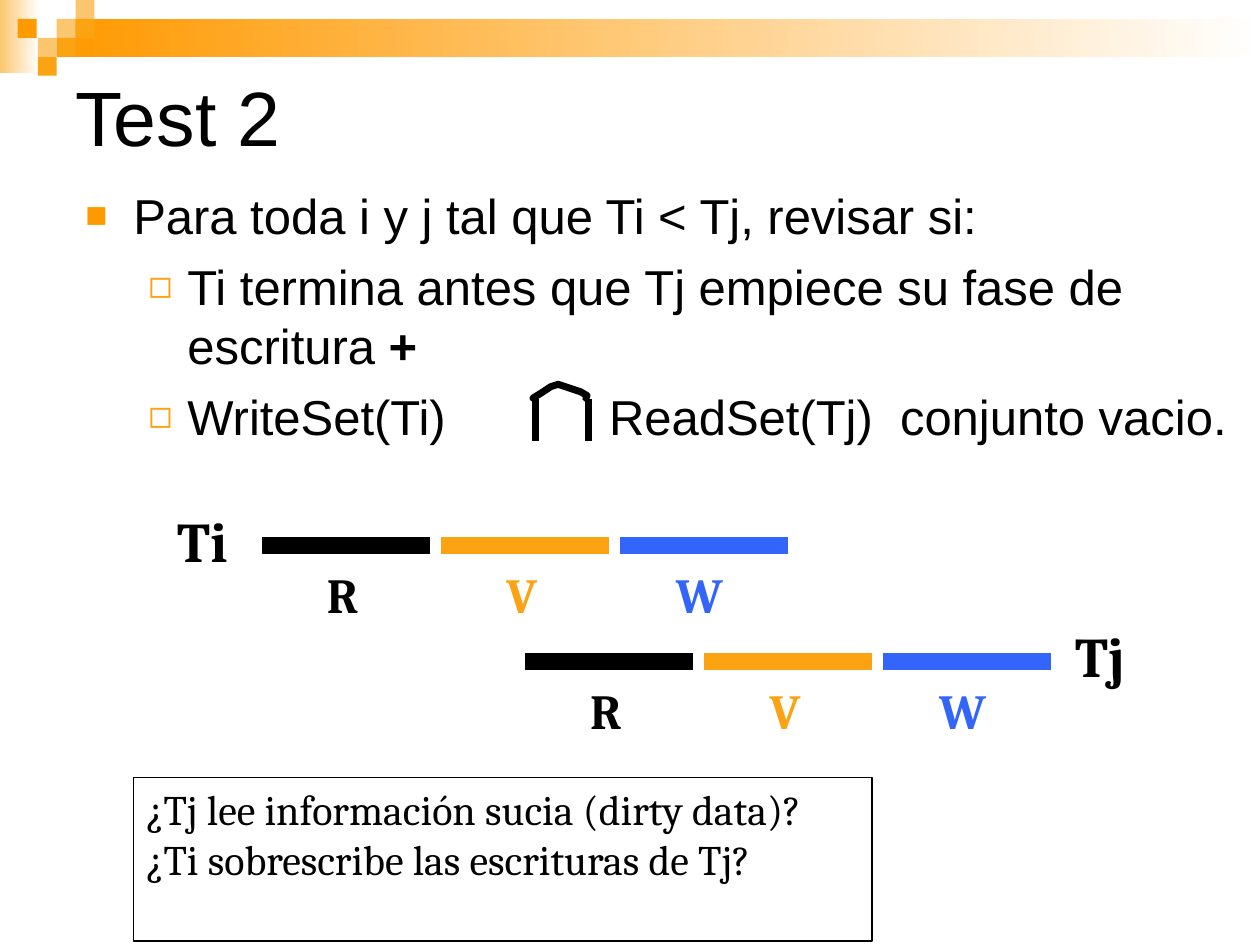
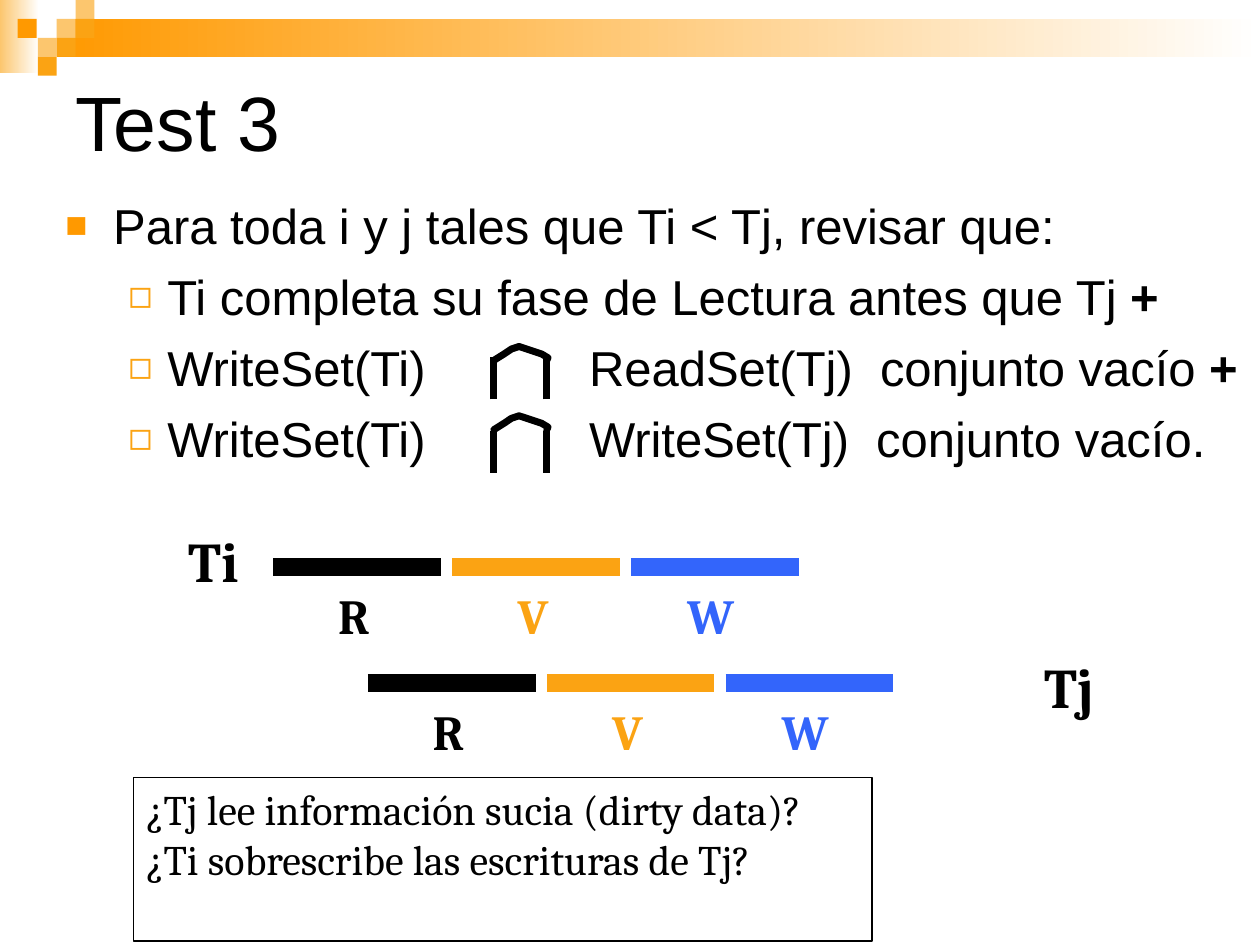
from lxml import etree
from pptx import Presentation
from pptx.dml.color import RGBColor
from pptx.enum.shapes import MSO_CONNECTOR, MSO_SHAPE
from pptx.enum.text import MSO_ANCHOR
from pptx.oxml.ns import qn
from pptx.util import Inches, Pt

STRAIGHT = MSO_CONNECTOR.STRAIGHT
RECTANGLE = MSO_SHAPE.RECTANGLE
MIDDLE, TOP = MSO_ANCHOR.MIDDLE, MSO_ANCHOR.TOP

COLORS = {"black": "000000", "white": "FFFFFF", "orange": "FF9900",
          "amber": "FBA313", "peach": "FCC66E", "blue": "3365FB"}
RGB = {name: RGBColor.from_string(value) for name, value in COLORS.items()}

# Corner decoration: left, top, width, height, colour
BANDS = [(0, 0, 0.31, 0.58, "peach"), (0.45, 0.15, 9.55, 0.3, "orange")]
TILE = 0.15
TILES = [(0.45, 0.15, "peach"), (0.6, 0, "peach"), (0.6, 0.15, "amber"),
         (0.3, 0.3, "peach"), (0.14, 0.15, "orange"), (0.45, 0.3, "amber"),
         (0.3, 0.45, "amber")]
DECORATION = BANDS + [(x, y, TILE, TILE, color) for x, y, color in TILES]

# Bullets by level: margin, hanging indent, character, colour, size in percent
BULLETS = [(0.38, -0.38, "■", "orange", 75), (0.81, -0.31, "◻", "amber", 80)]
GAP = " "  # one widely spaced blank that leaves room for the intersection sign
GAP_SPACING = "8560"

# Transaction phases: letter, label width, colour
PHASES = [("R", 0.48, "black"), ("V", 0.47, "amber"), ("W", 0.62, "blue")]
PHASE_LENGTH, PHASE_STEP = 1.33, 1.42

# Intersection sign
SIGN_WIDTH = 0.42
ROOF = [(0, 0.11), (0.08, 0.06), (0.14, 0.02), (0.2, 0), (0.26, 0.02),
        (0.32, 0.04), (0.38, 0.06), (0.43, 0.09), (0.42, 0.11)]

QUESTIONS = ["¿Tj lee información sucia (dirty data)?",
             "¿Ti sobrescribe las escrituras de Tj?"]

PAGES = [
    {"title": "Test 2", "title_height": 0.83,
     "body_at": (0.58, 1.42, 9.33, 2.42),
     "body": [["Para toda i y j tal que Ti < Tj, revisar si:"],
              ["Ti termina antes que Tj empiece su fase de escritura ", "+"],
              ["WriteSet(Ti)", GAP, "ReadSet(Tj)  conjunto vacio."]],
     # name, name position, first phase position
     "transactions": [("Ti", 1.31, 3.97, 2.08, 4.33),
                      ("Tj", 8.44, 4.88, 4.17, 5.25)],
     # left post, post top, post foot, roof left, roof top
     "signs": [(4.25, 3.17, 3.5, 4.23, 3.05)]},
    {"title": "Test 3", "title_height": 0.92,
     "body_at": (0.42, 1.5, 9.58, 2.33),
     "body": [["Para toda i y j tales que Ti < Tj, revisar que:"],
              ["Ti completa su fase de Lectura antes que Tj ", "+"],
              ["WriteSet(Ti)", GAP, "ReadSet(Tj)  conjunto vacío ", "+"],
              ["WriteSet(Ti)", GAP, "WriteSet(Tj)  conjunto vacío."]],
     "transactions": [("Ti", 1.4, 4.13, 2.17, 4.5),
                      ("Tj", 8.19, 5.13, 2.92, 5.42)],
     "signs": [(3.92, 3.42, 3.75, 3.92, 3.3),
               (3.92, 2.83, 3.17, 3.92, 2.75)]},
]


def add_text(page, at, lines, size, font="Cambria", color="black",
             bold=False, wrap=True, anchor=TOP):
    """Add a text box; each line is a list of spans."""
    box = page.shapes.add_textbox(*[Inches(value) for value in at])
    frame = box.text_frame
    frame.word_wrap = wrap
    frame.vertical_anchor = anchor
    for number, spans in enumerate(lines):
        para = frame.paragraphs[0] if number == 0 else frame.add_paragraph()
        for text in spans:
            span = para.add_run()
            span.text = text
            span.font.size = Pt(size)
            span.font.name = font
            span.font.bold = bold or text == "+"
            span.font.color.rgb = RGB[color]
            if text == GAP:
                span.font._element.set("spc", GAP_SPACING)
    return box


def add_line(page, x1, y1, x2, y2, color, width):
    line = page.shapes.add_connector(
        STRAIGHT, Inches(x1), Inches(y1), Inches(x2), Inches(y2))
    line.line.color.rgb = RGB[color]
    line.line.width = Pt(width)
    etree.SubElement(line._element.spPr, qn("a:effectLst"))


deck = Presentation()
deck.slide_width, deck.slide_height = Inches(10), Inches(7.5)

for content in PAGES:
    page = deck.slides.add_slide(deck.slide_layouts[6])

    # Corner decoration
    for left, top, width, height, color in DECORATION:
        block = page.shapes.add_shape(
            RECTANGLE, Inches(left), Inches(top), Inches(width), Inches(height))
        block.shadow.inherit = False
        block.line.fill.background()
        if width == TILE:
            block.fill.solid()
            block.fill.fore_color.rgb = RGB[color]
        else:
            block.fill.gradient()
            block.fill.gradient_angle = 180
            for stop, name in zip(block.fill.gradient_stops, ("white", color)):
                stop.color.rgb = RGB[name]

    # Title and bulleted conditions
    add_text(page, (0.5, 0.5, 9, content["title_height"]), [[content["title"]]],
             44, font="Arial", anchor=MIDDLE)
    body = add_text(page, content["body_at"], content["body"], 28, font="Arial")
    for number, para in enumerate(body.text_frame.paragraphs):
        level = min(number, 1)
        margin, indent, mark, color, percent = BULLETS[level]
        para.level = level
        para.space_before = Pt(7)
        settings = para._p.get_or_add_pPr()
        settings.set("marL", str(Inches(margin)))
        settings.set("indent", str(Inches(indent)))
        tint = etree.SubElement(settings, qn("a:buClr"))
        etree.SubElement(tint, qn("a:srgbClr"), val=COLORS[color])
        etree.SubElement(settings, qn("a:buSzPct"), val=str(percent * 1000))
        etree.SubElement(settings, qn("a:buFont"), typeface="Arial")
        etree.SubElement(settings, qn("a:buChar"), char=mark)

    # Timelines of the two transactions
    for name, name_left, name_top, start, level_y in content["transactions"]:
        add_text(page, (name_left, name_top, 0.65, 0.63), [[name]], 32,
                 bold=True, wrap=False)
        for number, (letter, width, color) in enumerate(PHASES):
            left = start + number * PHASE_STEP
            add_line(page, left, level_y, left + PHASE_LENGTH, level_y, color, 10)
            label_left = left + (PHASE_LENGTH - width) / 2 - 0.01
            add_text(page, (label_left, level_y + 0.1, width, 0.57), [[letter]],
                     28, color=color, bold=True, wrap=False)

    # Intersection signs
    for left, top, foot, roof_left, roof_top in content["signs"]:
        for x in (left, left + SIGN_WIDTH):
            add_line(page, x, foot, x, top, "black", 4)
        points = [(Inches(roof_left + x), Inches(roof_top + y)) for x, y in ROOF]
        builder = page.shapes.build_freeform(*points[0])
        builder.add_line_segments(points[1:], close=False)
        roof = builder.convert_to_shape()
        roof.shadow.inherit = False
        roof.fill.background()
        roof.line.color.rgb = RGB["black"]
        roof.line.width = Pt(4)
        roof.line._get_or_add_ln().set("cap", "rnd")

    # Framed questions
    frame_box = add_text(page, (1.06, 6.17, 5.86, 1.3),
                         [[question] for question in QUESTIONS], 24)
    frame_box.line.color.rgb = RGB["black"]
    frame_box.line.width = Pt(1)

deck.save("out.pptx")
